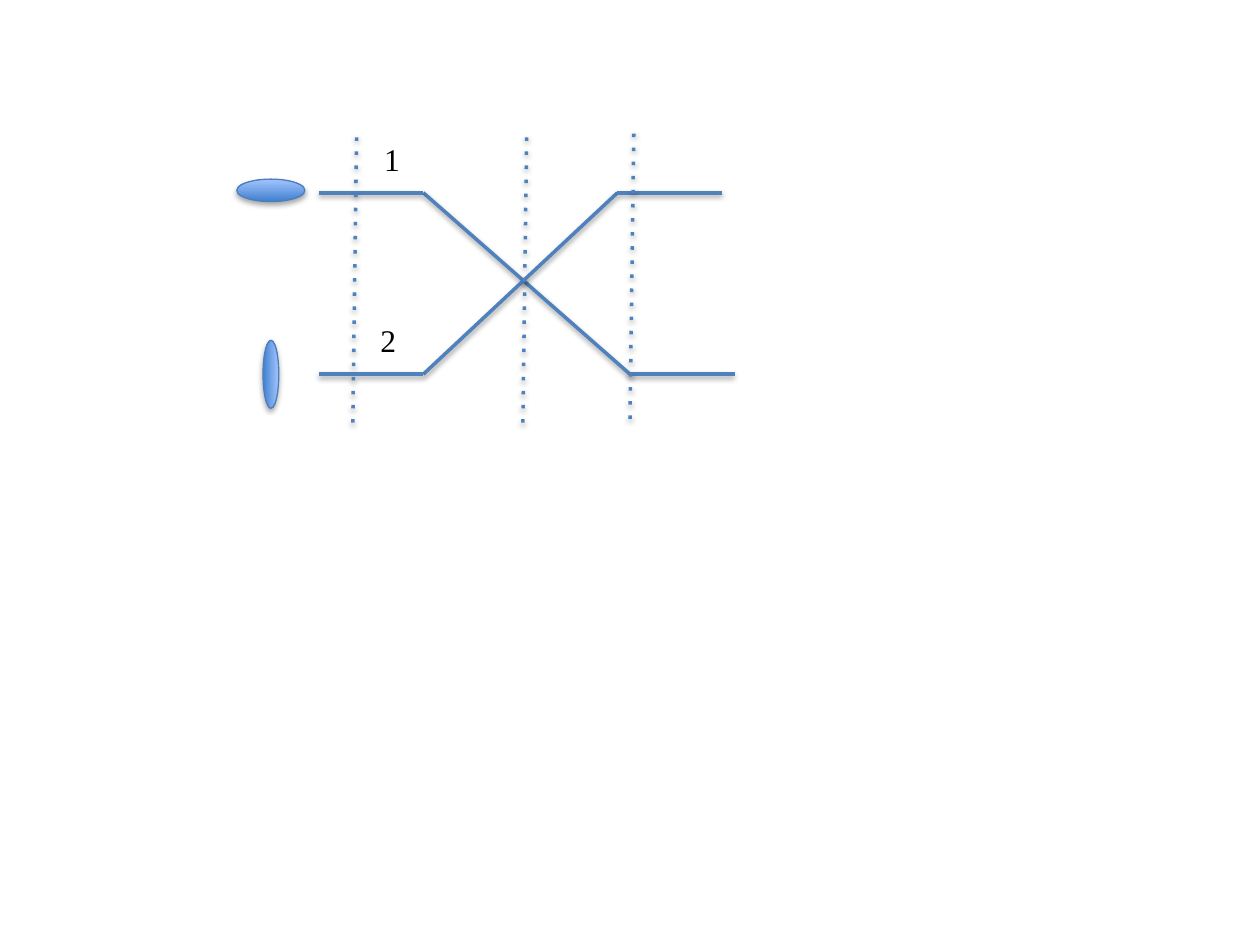
from lxml.etree import SubElement
from pptx import Presentation
from pptx.dml.color import RGBColor
from pptx.enum.shapes import MSO_CONNECTOR, MSO_SHAPE
from pptx.enum.text import MSO_AUTO_SIZE
from pptx.oxml.ns import qn
from pptx.util import Pt

LINE_COLOR = "4F81BD"
ARM_LENGTH = 59.76
TOP, BOTTOM = 110.16, 213.84
LEFT_BEND, TOP_BEND, BOTTOM_BEND = 241.92, 352.8, 360


def color(value):
    """Return the colour of a hex string."""
    return RGBColor.from_string(value)


def add_shadow(effects, opacity, distance):
    """Put a soft black shadow that falls downwards into an effect list."""
    shadow = SubElement(
        effects, qn("a:outerShdw"), blurRad=str(Pt(3.15)), dist=str(Pt(distance)),
        dir="5400000", rotWithShape="0")
    black = SubElement(shadow, qn("a:srgbClr"), val="000000")
    SubElement(black, qn("a:alpha"), val=str(opacity * 1000))


def add_line(slide, start, end, dotted=False):
    """Draw a blue line with a shadow between two points."""
    points = [Pt(length) for length in (*start, *end)]
    connector = slide.shapes.add_connector(MSO_CONNECTOR.STRAIGHT, *points)
    connector.line.color.rgb = color(LINE_COLOR)
    connector.line.width = Pt(2)
    properties = connector._element.spPr
    if dotted:
        SubElement(properties.find(qn("a:ln")), qn("a:prstDash"), val="dot")
    add_shadow(SubElement(properties, qn("a:effectLst")), 38, 1.57)


def add_ellipse(slide, left, top, width, height, rotation=0):
    """Draw an ellipse with a blue gradient and a shadow."""
    shape = slide.shapes.add_shape(
        MSO_SHAPE.OVAL, Pt(left), Pt(top), Pt(width), Pt(height))
    shape.rotation = rotation
    shape.fill.gradient()
    shape.fill.gradient_angle = 90
    for stop, value in zip(shape.fill.gradient_stops, ("3F80CE", "A4C4FF")):
        stop.color.rgb = color(value)
    shape.line.color.rgb = color("4B7EBC")
    shape.line.width = Pt(0.75)
    shape.shadow.inherit = False
    add_shadow(shape._element.spPr.find(qn("a:effectLst")), 35, 1.81)


def add_label(slide, text, left, top):
    """Write a path number."""
    shape = slide.shapes.add_textbox(Pt(left), Pt(top), Pt(23.76), Pt(28.8))
    text_frame = shape.text_frame
    text_frame.word_wrap = False
    text_frame.auto_size = MSO_AUTO_SIZE.SHAPE_TO_FIT_TEXT
    text_frame.text = text
    font = text_frame.paragraphs[0].runs[0].font
    font.name = "Times New Roman"
    font.size = Pt(18)
    font.color.rgb = color("000000")


def main():
    """Build the slide with two crossing paths."""
    presentation = Presentation()
    presentation.slide_width, presentation.slide_height = Pt(720), Pt(540)
    slide = presentation.slides.add_slide(presentation.slide_layouts[6])

    add_line(slide, (LEFT_BEND, TOP), (BOTTOM_BEND, BOTTOM))
    add_line(slide, (LEFT_BEND, BOTTOM), (TOP_BEND, TOP))
    arms = [(LEFT_BEND - ARM_LENGTH, TOP), (LEFT_BEND - ARM_LENGTH, BOTTOM),
            (TOP_BEND, TOP), (BOTTOM_BEND, BOTTOM)]
    for left, top in arms:
        add_line(slide, (left, top), (left + ARM_LENGTH, top))

    add_ellipse(slide, 135.36, 102.4, 38.88, 12.8)
    add_ellipse(slide, 135.36, 209.4, 38.88, 9, rotation=90)

    for left, top in [(203.76, 78.48), (300.96, 78.48), (362.16, 76.32)]:
        add_line(slide, (left, top), (left - 2.16, top + 163.44), dotted=True)

    add_label(slide, "1", 212.4, 76.32)
    add_label(slide, "2", 210.24, 180)
    presentation.save("out.pptx")


main()
